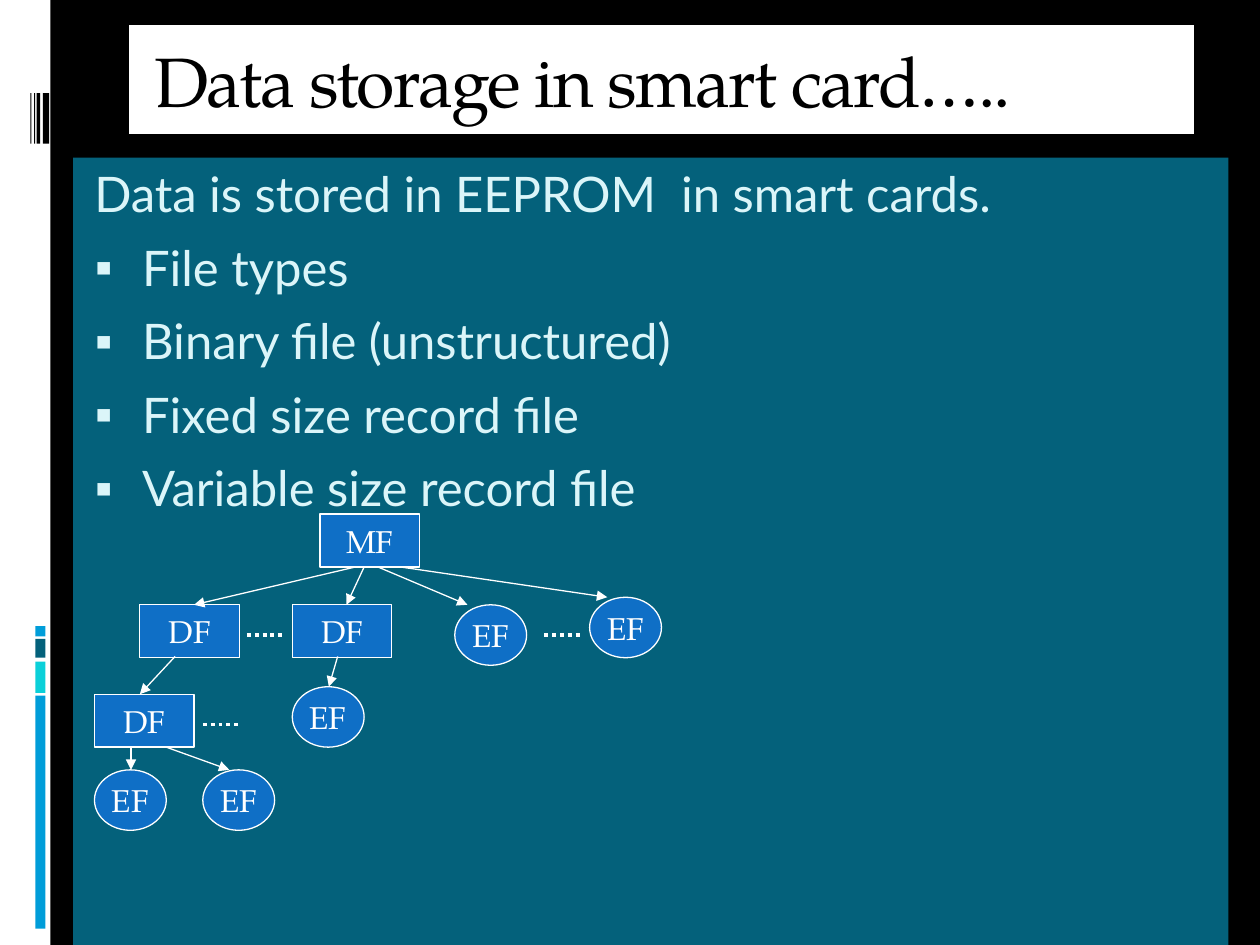
from lxml.etree import SubElement
from pptx import Presentation
from pptx.dml.color import RGBColor
from pptx.enum.dml import MSO_LINE
from pptx.enum.shapes import MSO_CONNECTOR, MSO_SHAPE
from pptx.enum.text import MSO_ANCHOR, PP_ALIGN
from pptx.oxml.ns import qn
from pptx.util import Inches, Pt

SERIF, SANS = "TeX Gyre Pagella", "Lato"
WHITE, BLACK, TEAL, BLUE, PALE = "FFFFFF", "000000", "04617B", "0F6FC6", "DBF5F9"


def color(hex_text):
    return RGBColor.from_string(hex_text)


def add_box(kind, box, fill, outline=None, width=0.75):
    shape = slide.shapes.add_shape(kind, *[Inches(v) for v in box])
    shape.shadow.inherit = False
    shape.fill.solid()
    shape.fill.fore_color.rgb = color(fill)
    if outline:
        shape.line.color.rgb = color(outline)
        shape.line.width = Pt(width)
    else:
        shape.line.fill.background()
    return shape


prs = Presentation()
prs.slide_width, prs.slide_height = Inches(10), Inches(7.5)
slide = prs.slides.add_slide(prs.slide_layouts[6])
slide.background.fill.solid()
slide.background.fill.fore_color.rgb = color(BLACK)

# Left stripe with its coloured blocks and thin bars
add_box(MSO_SHAPE.RECTANGLE, (0, 0, 0.4, 7.5), WHITE)
for top, height, fill in [(5.52, 1.85, "009DD9"), (5.25, 0.25, "0BD0D9"),
                          (5.07, 0.15, TEAL), (4.97, 0.08, "009DD9")]:
    add_box(MSO_SHAPE.RECTANGLE, (0.28, top, 0.08, height), fill)
for left, width in [(0.34, 0.05), (0.29, 0.03), (0.27, 0.01), (0.24, 0.01)]:
    add_box(MSO_SHAPE.RECTANGLE, (left, 0.74, width, 0.4), BLACK)

# Title
title = add_box(MSO_SHAPE.RECTANGLE, (1, 0.17, 8.5, 0.92), WHITE, BLACK, 3.78)
title.text_frame.vertical_anchor = MSO_ANCHOR.MIDDLE
heading = title.text_frame.paragraphs[0]
heading.alignment = PP_ALIGN.LEFT
heading.font.size, heading.font.name = Pt(40), SERIF
heading.font.color.rgb = color(BLACK)
heading_run = heading.add_run()
heading_run.text = " Data storage in smart card….."
heading_run._r.get_or_add_rPr().set("spc", "-100")

# Body: an opening line, then square bullets
body = add_box(MSO_SHAPE.RECTANGLE, (0.58, 1.25, 9.17, 6.25), TEAL).text_frame
body.vertical_anchor = MSO_ANCHOR.TOP
body.text = "\n".join([
    "Data is stored in EEPROM  in smart cards.",
    "File types",
    "Binary file (unstructured)",
    "Fixed size record file",
    "Variable size record file",
])
for i, item in enumerate(body.paragraphs):
    item.alignment = PP_ALIGN.LEFT
    item.font.size, item.font.name = Pt(28), SANS
    item.font.color.rgb = color(PALE)
    props = item._p.get_or_add_pPr()
    props.set("marL", str(Inches(0.45)))
    props.set("indent", str(Inches(-0.38)))
    if i:
        item.space_before = Pt(8.4)
        bullet_parts = [
            SubElement(props, qn("a:buClr")),
            SubElement(props, qn("a:buSzPct"), val="95000"),
            SubElement(props, qn("a:buFont"), typeface=SANS),
            SubElement(props, qn("a:buChar"), char="▪"),
        ]
        SubElement(bullet_parts[0], qn("a:srgbClr"), val=PALE)
        # The schema wants bullets ahead of the default run properties
        for part in bullet_parts:
            props.find(qn("a:defRPr")).addprevious(part)

# File tree: directories are boxes, elementary files are ellipses
files = [
    ("MF", 2.54, 4.08), ("DF", 1.11, 4.8), ("DF", 2.32, 4.8), ("DF", 0.75, 5.51),
    ("EF", 3.61, 4.8), ("EF", 4.68, 4.74), ("EF", 2.32, 5.45),
    ("EF", 0.75, 6.11), ("EF", 1.61, 6.11),
]
for label, left, top in files:
    if label == "EF":
        kind, size = MSO_SHAPE.OVAL, (0.57, 0.48)
    else:
        kind, size = MSO_SHAPE.RECTANGLE, (0.79, 0.42)
    frame = add_box(kind, (left, top, *size), BLUE, WHITE).text_frame
    frame.word_wrap = False
    frame.vertical_anchor = MSO_ANCHOR.MIDDLE
    frame.text = label
    name = frame.paragraphs[0]
    name.alignment = PP_ALIGN.CENTER
    name.font.size, name.font.name = Pt(18), SERIF
    name.font.color.rgb = color(WHITE)

# Arrows from parent to child, and dotted lines for further siblings
branches = [
    (2.82, 4.5, 1.54, 4.8), (2.89, 4.5, 2.75, 4.8), (3, 4.5, 3.71, 4.8),
    (3.18, 4.5, 4.82, 4.74), (1.39, 5.21, 1.11, 5.51), (2.68, 5.21, 2.61, 5.45),
    (1.04, 5.93, 1.04, 6.11), (1.32, 5.93, 1.82, 6.11),
]
siblings = [(x, y, x + 0.29, y) for x, y in [(1.96, 5.04), (4.32, 5.04), (1.61, 5.75)]]
for ends in branches + siblings:
    link = slide.shapes.add_connector(MSO_CONNECTOR.STRAIGHT, *[Inches(v) for v in ends])
    link.line.color.rgb = color(WHITE)
    if ends in siblings:
        link.line.width = Pt(2.25)
        link.line.dash_style = MSO_LINE.ROUND_DOT
        link.line._ln.find(qn("a:prstDash")).set("val", "sysDot")
    else:
        link.line.width = Pt(0.75)
        SubElement(link.line._ln, qn("a:tailEnd"), type="triangle")
    SubElement(link._element.spPr, qn("a:effectLst"))

prs.save("out.pptx")
